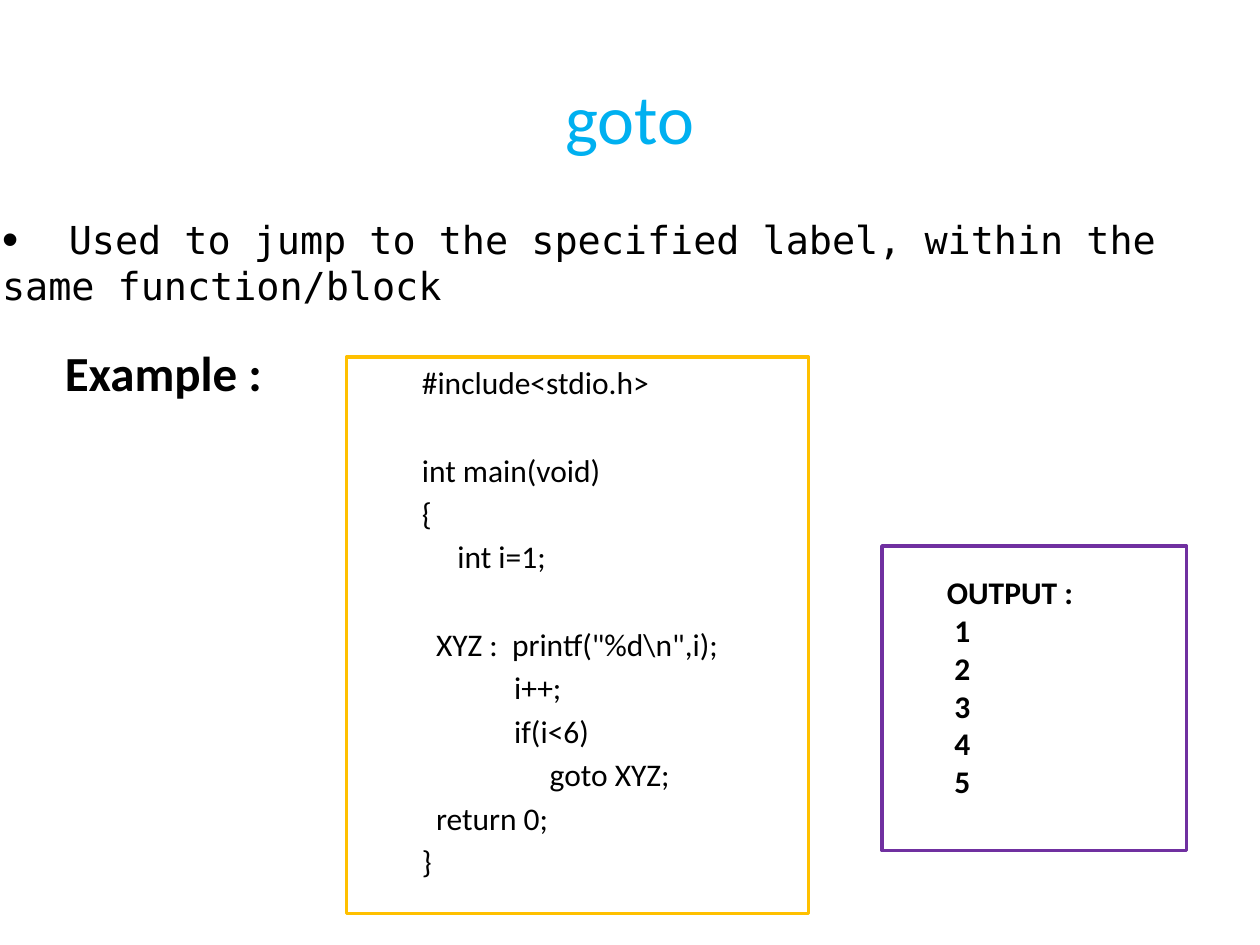
"""Build a slide explaining the goto statement with its example and output."""
from dataclasses import dataclass

from lxml import etree
from pptx import Presentation
from pptx.dml.color import RGBColor
from pptx.enum.shapes import MSO_SHAPE
from pptx.enum.text import MSO_ANCHOR, MSO_AUTO_SIZE, PP_ALIGN
from pptx.oxml.ns import qn
from pptx.util import Inches, Pt

RECTANGLE = MSO_SHAPE.RECTANGLE
TOP, MIDDLE = MSO_ANCHOR.TOP, MSO_ANCHOR.MIDDLE
NO_AUTOFIT = MSO_AUTO_SIZE.NONE
LEFT, CENTER = PP_ALIGN.LEFT, PP_ALIGN.CENTER

BLACK = RGBColor(0x00, 0x00, 0x00)
SKY = RGBColor(0x00, 0xB0, 0xF0)
AMBER = RGBColor(0xFF, 0xC0, 0x00)
PURPLE = RGBColor(0x70, 0x30, 0xA0)

SANS, MONO = "Calibri", "DejaVu Sans Mono"
COLUMNS, ROWS = 120, 90
CODE_GAP, CODE_BREAK = 3.2, 28.4


@dataclass(frozen=True)
class Area:
    """Place on the grid, in columns and rows."""
    column: float
    row: float
    columns: float
    rows: float


@dataclass(frozen=True)
class Style:
    """Look of a piece of text."""
    size: float
    name: str = SANS
    color: RGBColor = BLACK
    bold: bool = False


@dataclass(frozen=True)
class Line:
    """One paragraph with its space before and left margin."""
    text: str
    before: float = 0
    margin: float = 0


@dataclass(frozen=True)
class TextBlock:
    """Text box with lines of one style."""
    area: Area
    style: Style
    lines: tuple[Line, ...]


@dataclass(frozen=True)
class Frame:
    """Outlined empty rectangle."""
    area: Area
    color: RGBColor


CODE = (
    Line("#include<stdio.h>"),
    Line("int main(void)", CODE_BREAK),
    Line("{", CODE_GAP),
    Line("     int i=1;", CODE_GAP),
    Line('  XYZ :  printf("%d\\n",i);', CODE_BREAK),
    Line("             i++;", CODE_GAP),
    Line("             if(i<6)", CODE_GAP),
    Line("                  goto XYZ;", CODE_GAP),
    Line("  return 0;", CODE_GAP),
    Line("}", CODE_GAP),
)
OUTPUT = (Line("OUTPUT :"), *(Line(str(n), margin=0.06) for n in range(1, 6)))

BULLET_AREA = Area(-1, 20, 114, 10)
ITEMS = (
    TextBlock(Area(39, 34, 35, 54), Style(18), CODE),
    TextBlock(Area(5, 32, 23, 7), Style(28, bold=True), (Line("Example :"),)),
    Frame(Area(33, 34, 44, 53), AMBER),
    TextBlock(Area(89, 54, 15, 27), Style(18, bold=True), OUTPUT),
    Frame(Area(84, 52, 29, 29), PURPLE),
)


def place(deck, area: Area) -> tuple[int, int, int, int]:
    """Turn a grid area into slide lengths."""
    column, row = deck.slide_width / COLUMNS, deck.slide_height / ROWS
    return (round(area.column * column), round(area.row * row),
            round(area.columns * column), round(area.rows * row))


def add_span(para, text: str, style: Style) -> None:
    """Add one styled run."""
    span = para.add_run()
    span.text = text
    span.font.size = Pt(style.size)
    span.font.name = style.name
    span.font.bold = style.bold
    span.font.color.rgb = style.color


def draw_text(deck, page, block: TextBlock) -> None:
    """Draw a text box line by line."""
    frame = page.shapes.add_textbox(*place(deck, block.area)).text_frame
    frame.word_wrap = True
    for index, line in enumerate(block.lines):
        para = frame.add_paragraph() if index else frame.paragraphs[0]
        if line.before:
            para.space_before = Pt(line.before)
        if line.margin:
            para._p.get_or_add_pPr().set("marL", str(Inches(line.margin)))
        add_span(para, line.text, block.style)


def draw_frame(deck, page, item: Frame) -> None:
    """Draw an outlined rectangle without fill."""
    box = page.shapes.add_shape(RECTANGLE, *place(deck, item.area))
    box.shadow.inherit = False
    box.fill.background()
    box.line.color.rgb = item.color
    box.line.width = Pt(2)


def fill_title(page) -> None:
    """Write the slide title."""
    frame = page.shapes.title.text_frame
    frame.vertical_anchor = MIDDLE
    para = frame.paragraphs[0]
    para.alignment = CENTER
    add_span(para, "goto", Style(40, color=SKY))


def fill_bullet(deck, page) -> None:
    """Write the definition as a bullet whose second line starts flush left."""
    body = page.placeholders[1]
    body.left, body.top, body.width, body.height = place(deck, BULLET_AREA)
    frame = body.text_frame
    frame.word_wrap = True
    frame.auto_size = NO_AUTOFIT
    frame.vertical_anchor = TOP
    para = frame.paragraphs[0]
    para.alignment = LEFT
    para.space_before = Pt(0)
    properties = para._p.get_or_add_pPr()
    properties.set("marL", "0")
    properties.set("indent", "0")
    etree.SubElement(properties, qn("a:buSzPct"), val="120000")
    etree.SubElement(properties, qn("a:buChar"), char="•")
    tabs = etree.SubElement(properties, qn("a:tabLst"))
    etree.SubElement(tabs, qn("a:tab"), pos=str(Inches(0.53)), algn="l")
    style = Style(22, MONO)
    add_span(para, "\t", style)
    add_span(para, "Used to jump to the specified label, "
                   "within the same function/block", style)


def main() -> None:
    """Build and save the deck."""
    deck = Presentation()
    deck.slide_width, deck.slide_height = Inches(10), Inches(7.5)
    page = deck.slides.add_slide(deck.slide_layouts[1])
    fill_title(page)
    fill_bullet(deck, page)
    for item in ITEMS:
        draw = draw_text if isinstance(item, TextBlock) else draw_frame
        draw(deck, page, item)
    deck.save("out.pptx")


if __name__ == "__main__":
    main()
